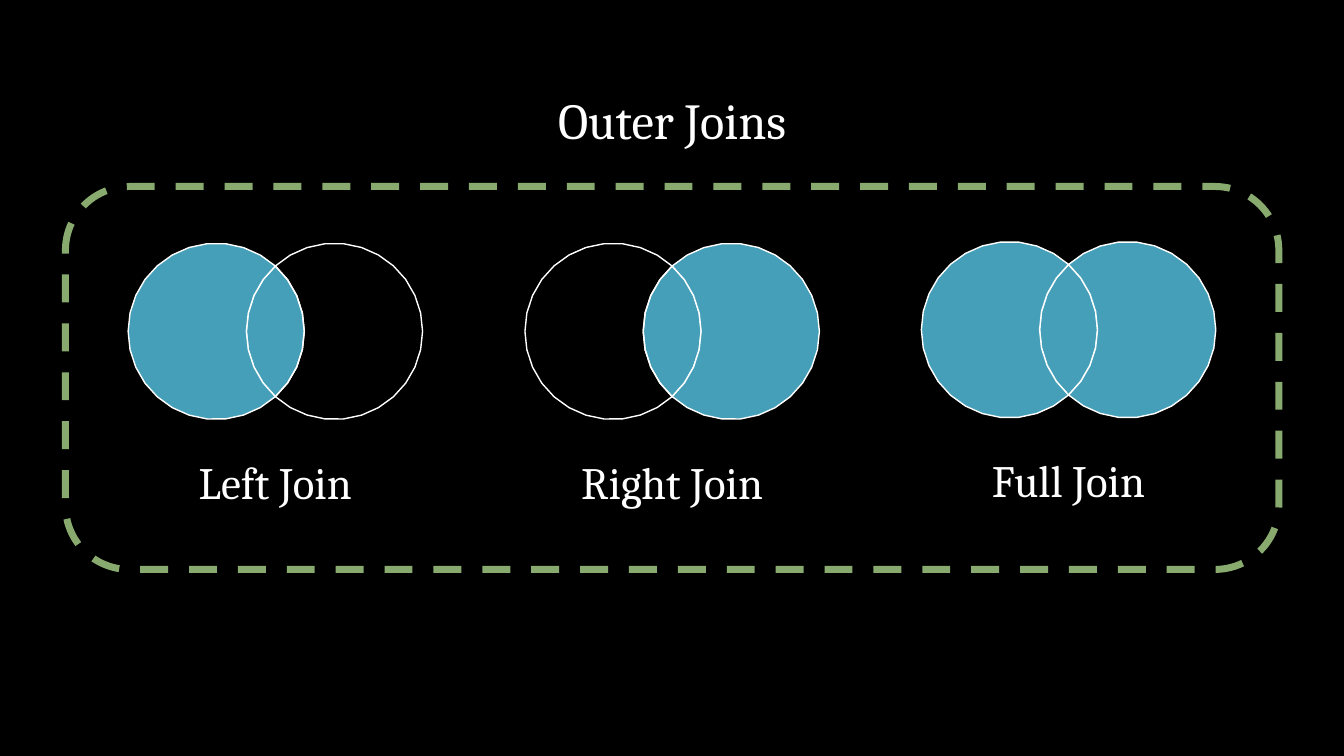
"""Build a slide with Venn diagrams of the three outer joins."""
from math import acos, cos, pi, sin

from pptx import Presentation
from pptx.dml.color import RGBColor
from pptx.enum.dml import MSO_LINE
from pptx.enum.shapes import MSO_SHAPE
from pptx.enum.text import PP_ALIGN
from pptx.util import Cm, Pt

DASH = MSO_LINE.DASH
ROUNDED = MSO_SHAPE.ROUNDED_RECTANGLE
CENTER = PP_ALIGN.CENTER
rgb = RGBColor.from_string
BLACK, WHITE, BLUE, GREEN = "000000", "FFFFFF", "469FB8", "88AA6E"

RADIUS = 2.22
HALF_GAP = 1.49
LABEL_W = 7.44
LEFT, RIGHT = -1, 1
CROSS = acos(HALF_GAP / RADIUS)

REGIONS = {
    "lens": [(LEFT, -CROSS, CROSS, 8), (RIGHT, pi - CROSS, pi + CROSS, 8)],
    "left": [(LEFT, CROSS, 2 * pi - CROSS, 22), (RIGHT, pi + CROSS, pi - CROSS, 8)],
    "right": [(RIGHT, pi + CROSS, 3 * pi - CROSS, 22), (LEFT, CROSS, -CROSS, 8)],
}
JOINS = [
    ("Left Join", 6.94, 8.35, ("lens", "left")),
    ("Right Join", 16.94, 8.35, ("lens", "right")),
    ("Full Join", 26.93, 8.31, ("lens", "left", "right")),
]


def add_label(text, mid, top, height, size):
    s = slide.shapes.add_textbox(Cm(mid - LABEL_W / 2), Cm(top), Cm(LABEL_W), Cm(height))
    tf = s.text_frame
    tf.word_wrap = True
    p = tf.paragraphs[0]
    p.alignment = CENTER
    r = p.add_run()
    r.text = text
    r.font.name = "Cambria"
    r.font.size = Pt(size)
    r.font.color.rgb = rgb(WHITE)


def style(s, fill, line, width):
    s.shadow.inherit = False
    if fill:
        s.fill.solid()
        s.fill.fore_color.rgb = rgb(fill)
    else:
        s.fill.background()
    s.line.color.rgb = rgb(line)
    s.line.width = Pt(width)


prs = Presentation()
prs.slide_width, prs.slide_height = Cm(33.87), Cm(19.05)
slide = prs.slides.add_slide(prs.slide_layouts[6])
slide.background.fill.solid()
slide.background.fill.fore_color.rgb = rgb(BLACK)

for name, mid, cy, filled in JOINS:
    for region, arcs in REGIONS.items():
        if name == "Left Join" and region == "right":
            pass
        points = []
        for side, start, end, steps in arcs:
            for i in range(steps):
                angle = start + (end - start) * i / steps
                x = mid + side * HALF_GAP + RADIUS * cos(angle)
                points.append((Cm(x), Cm(cy + RADIUS * sin(angle))))
        builder = slide.shapes.build_freeform(*points[0])
        builder.add_line_segments(points[1:], close=True)
        style(builder.convert_to_shape(), BLUE if region in filled else None, WHITE, 1)
    add_label(name, mid, cy + 2.98, 1.63, 32)

frame = slide.shapes.add_shape(ROUNDED, Cm(1.65), Cm(4.7), Cm(30.58), Cm(9.65))
style(frame, None, GREEN, 5)
frame.line.dash_style = DASH
add_label("Outer Joins", 16.94, 2.13, 1.8, 36)

prs.save("out.pptx")
